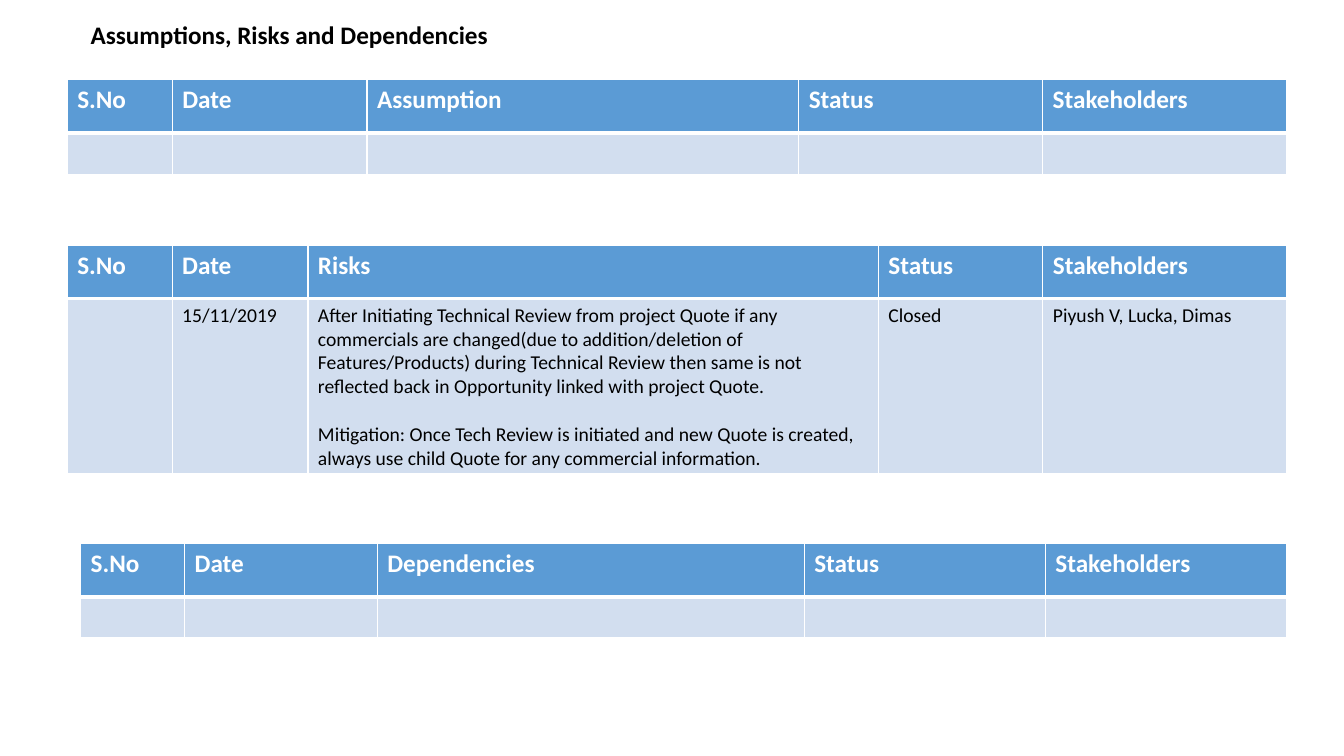
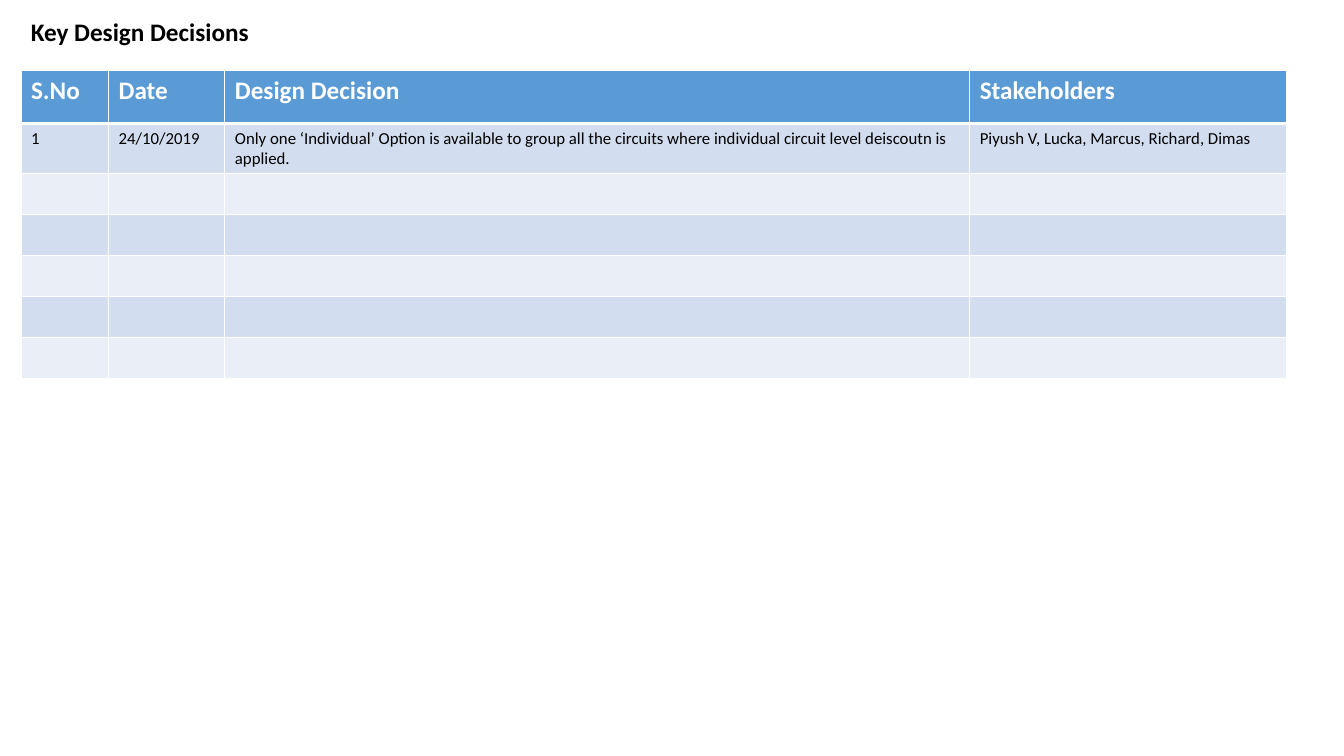
from dataclasses import dataclass

from lxml.etree import SubElement
from pptx import Presentation
from pptx.dml.color import RGBColor
from pptx.enum.text import MSO_ANCHOR
from pptx.oxml.ns import qn
from pptx.util import Pt


@dataclass(frozen=True)
class Theme:
    font: str = "Calibri"
    ink: str = "000000"
    paper: str = "FFFFFF"
    header: str = "5B9BD5"
    bands: tuple = ("D2DEEF", "EAEFF7")
    heading_size: int = 18
    rule: int = 1
    header_rule: int = 3
    right_edge: float = 919
    header_height: float = 38.2
    row_height: float = 29.2


THEME = Theme()

# Content: columns map each heading to its relative width; a cell may hold several paragraphs
RISK = [
    "After Initiating Technical Review from project Quote if any commercials are "
    "changed(due to addition/deletion of Features/Products) during Technical Review "
    "then same is not reflected back in Opportunity linked with project Quote.",
    "Mitigation: Once Tech Review is initiated and new Quote is created, always use "
    "child Quote for any commercial information.",
]
DECISION = ("Only one ‘Individual’ Option is available to group all the circuits "
            "where individual circuit level deiscoutn is applied.")


def log_columns(subject):
    return {"S.No": 75, "Date": 139, subject: 308, "Status": 174, "Stakeholders": 174}


SLIDES = [
    {"title": "Assumptions, Risks and Dependencies", "title_at": (57.6, 13),
     "tables": [
         {"at": (48, 57), "columns": log_columns("Assumption"), "rows": [[]]},
         {"at": (48, 175), "size": 14, "first_row": 124.5, "gap": 17,
          "columns": {"S.No": 75, "Date": 97, "Risks": 407.5, "Status": 117.5,
                      "Stakeholders": 174},
          "rows": [["", "15/11/2019", RISK, "Closed", "Piyush V, Lucka, Dimas"]]},
         {"at": (57.6, 388), "columns": log_columns("Dependencies"), "rows": [[]]},
     ]},
    {"title": "Key Design Decisions", "title_at": (15, 10.8),
     "tables": [
         {"at": (15, 50), "size": 12, "first_row": 36,
          "columns": {"S.No": 62.5, "Date": 83, "Design Decision": 531.5,
                      "Stakeholders": 226},
          "rows": [["1", "24/10/2019", DECISION, "Piyush V, Lucka, Marcus, Richard, Dimas"]]
                  + [[]] * 5},
     ]},
]


def write(frame, text, size=THEME.heading_size, color=THEME.ink, bold=False,
          gap=0, line_spacing=None):
    """Fill a text frame with one paragraph per string."""
    for index, line in enumerate([text] if isinstance(text, str) else text):
        para = frame.add_paragraph() if index else frame.paragraphs[0]
        if index:
            para.space_before = Pt(gap)
        if line_spacing:
            para.line_spacing = line_spacing
        span = para.add_run()
        span.text = line
        span.font.name = THEME.font
        span.font.size = Pt(size)
        span.font.bold = bold
        span.font.color.rgb = RGBColor.from_string(color)


def style_cell(cell, fill, top, bottom):
    """Set the borders, then the fill, which must follow them in the XML."""
    properties = cell._tc.get_or_add_tcPr()
    widths = {"lnL": THEME.rule, "lnR": THEME.rule, "lnT": top, "lnB": bottom}
    for side, width in widths.items():
        line = SubElement(properties, qn(f"a:{side}"), w=str(Pt(width)))
        SubElement(SubElement(line, qn("a:solidFill")), qn("a:srgbClr"), val=THEME.paper)
    cell.fill.solid()
    cell.fill.fore_color.rgb = RGBColor.from_string(fill)


def add_title(page, text, left, top):
    box = page.shapes.add_textbox(Pt(left), Pt(top), Pt(828), Pt(26.6))
    box.text_frame.word_wrap = True
    box.text_frame.vertical_anchor = MSO_ANCHOR.MIDDLE
    write(box.text_frame, text, bold=True, line_spacing=0.9)


def add_log(page, at, columns, rows, size=14, first_row=THEME.row_height, gap=0):
    """Add a banded table that reaches the shared right edge."""
    left, top = at
    width = THEME.right_edge - left
    heights = [THEME.header_height, first_row] + [THEME.row_height] * (len(rows) - 1)
    table = page.shapes.add_table(len(heights), len(columns), Pt(left), Pt(top),
                                  Pt(width), Pt(sum(heights))).table
    scale = width / sum(columns.values())
    for column, share in zip(table.columns, columns.values()):
        column.width = Pt(share * scale)
    for row, height in zip(table.rows, heights):
        row.height = Pt(height)

    # Header
    for cell, heading in zip(table.rows[0].cells, columns):
        style_cell(cell, THEME.header, THEME.rule, THEME.header_rule)
        write(cell.text_frame, heading, color=THEME.paper, bold=True)

    # Body
    for index, values in enumerate(rows):
        row_cells = list(table.rows[index + 1].cells)
        for cell in row_cells:
            style_cell(cell, THEME.bands[index % 2],
                       THEME.rule if index else THEME.header_rule, THEME.rule)
        for cell, value in zip(row_cells, values):
            if value:
                write(cell.text_frame, value, size=size, gap=gap)


def main():
    deck = Presentation()
    deck.slide_width, deck.slide_height = Pt(960), Pt(540)
    for content in SLIDES:
        page = deck.slides.add_slide(deck.slide_layouts[6])
        add_title(page, content["title"], *content["title_at"])
        for log in content["tables"]:
            add_log(page, **log)
    deck.save("out.pptx")


if __name__ == "__main__":
    main()
